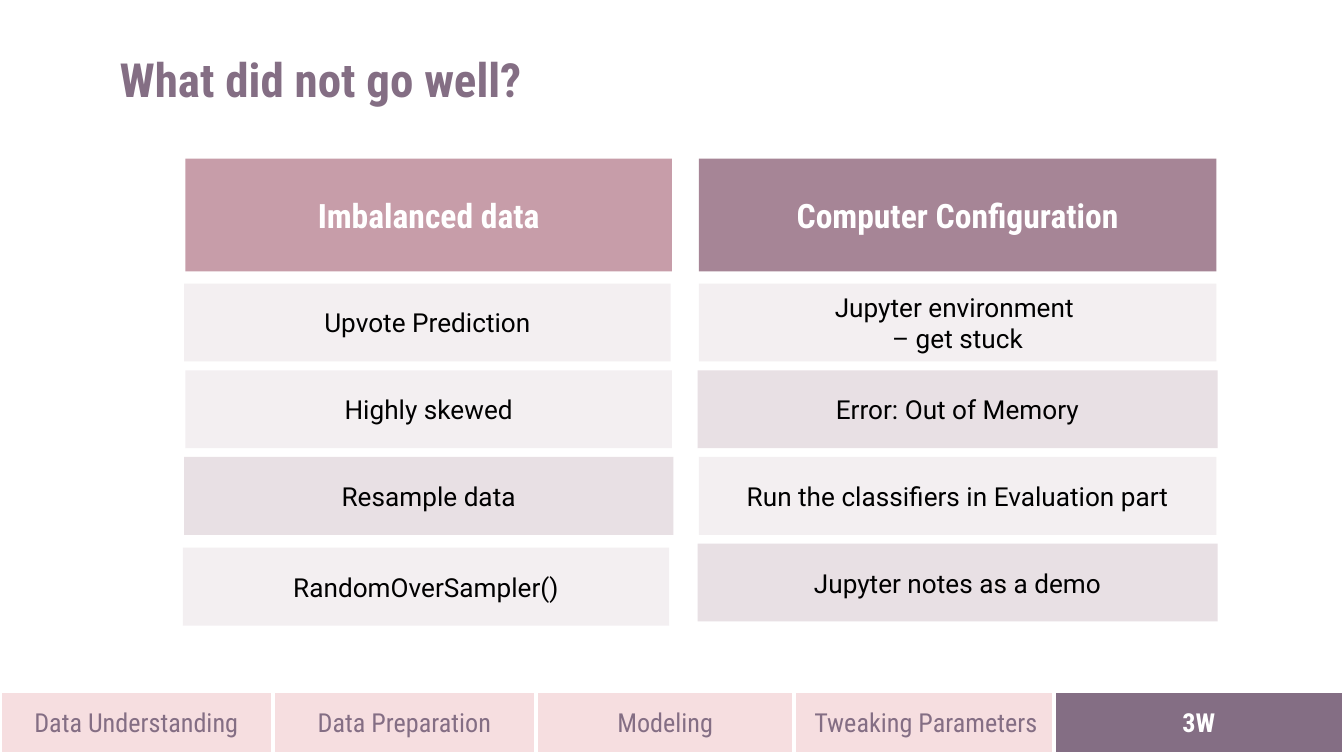
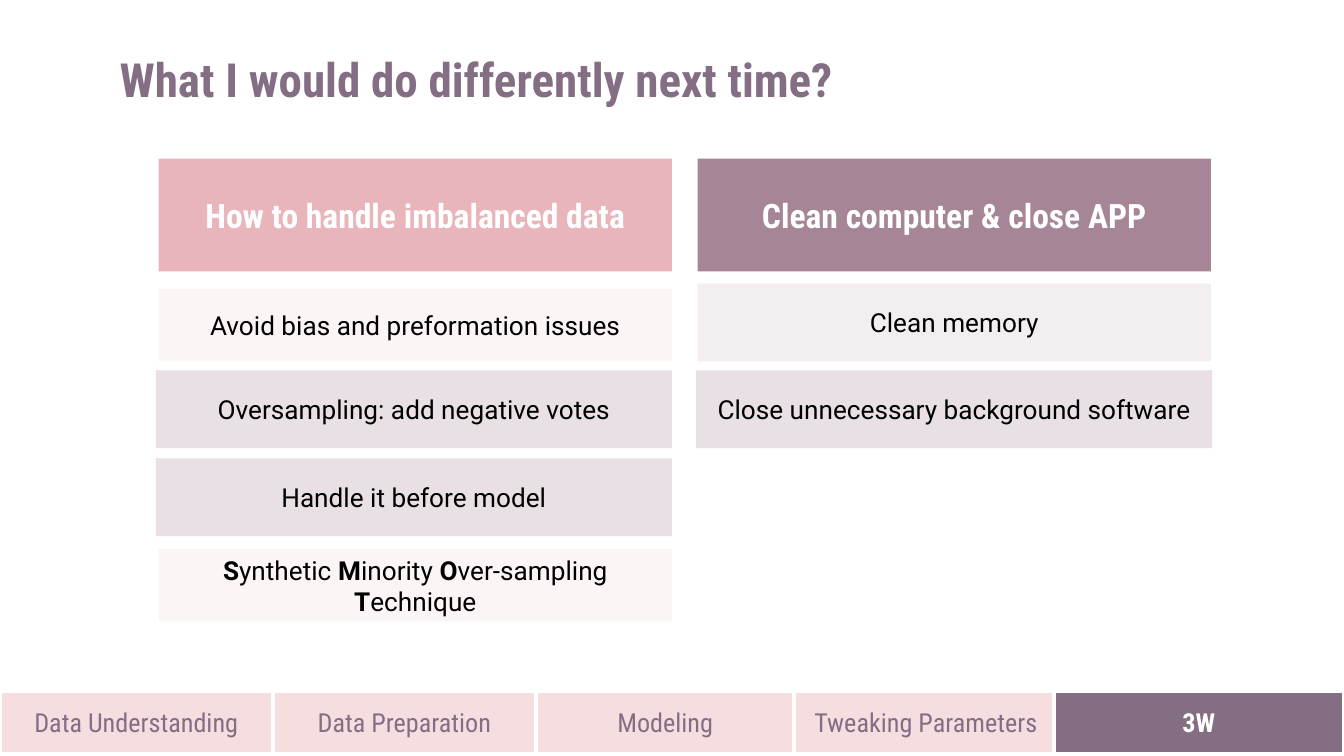
from pptx import Presentation
from pptx.dml.color import RGBColor
from pptx.enum import shapes, text
from pptx.oxml.ns import qn
from pptx.util import Inches, Pt
from lxml import etree

HUES = {
    "plum": "846E84",
    "mauve": "A68596",
    "rose": "C79DA9",
    "pink": "E8B5BB",
    "blush": "F6DEE0",
    "white": "FFFFFF",
    "black": "000000",
}
HEAD = "Roboto Condensed"
BODY = "Roboto"
KINDS = {
    "pale": ("mauve", 13, 0, 0.58),
    "deep": ("mauve", 25, 0.01, 0.58),
    "pink": ("pink", 13, 0, 0.54),
}
TABS = ["Data Understanding", "Data Preparation", "Modeling", "Tweaking Parameters", "3W"]
PITCH = 0.645


def hue(name):
    return RGBColor.from_string(HUES[name])


def write(frame, lines, font, size, color, bold=False, align=text.PP_ALIGN.CENTER):
    frame.vertical_anchor = text.MSO_ANCHOR.MIDDLE
    for row, line in enumerate(lines):
        para = frame.paragraphs[0] if row == 0 else frame.add_paragraph()
        para.alignment = align
        for pos, part in enumerate(line.split("*")):
            if part:
                run = para.add_run()
                run.text = part
                run.font.name = font
                run.font.size = Pt(size)
                run.font.bold = bold or pos % 2 == 1
                run.font.color.rgb = hue(color)


def pad(frame):
    frame.margin_left = frame.margin_right = Inches(0.1)
    frame.margin_top = frame.margin_bottom = Inches(0.1)


def block(parent, box, fill, alpha=100):
    shape = parent.add_shape(shapes.MSO_SHAPE.RECTANGLE, *map(Inches, box))
    shape.shadow.inherit = False
    shape.fill.solid()
    shape.fill.fore_color.rgb = hue(fill)
    if alpha < 100:
        color = shape._element.spPr.find(".//" + qn("a:srgbClr"))
        etree.SubElement(color, qn("a:alpha")).set("val", str(alpha * 1000))
    shape.line.fill.background()
    shape.text_frame.word_wrap = True
    return shape


def title(slide, box, words):
    shape = slide.shapes.title
    shape.left, shape.top, shape.width, shape.height = map(Inches, box)
    frame = shape.text_frame
    pad(frame)
    frame.auto_size = text.MSO_AUTO_SIZE.NONE
    frame.word_wrap = True
    write(frame, [words], HEAD, 25.2, "plum", True, text.PP_ALIGN.LEFT)


def column(slide, box, fill, label, rows):
    left, top, width = box
    head = block(slide.shapes, (left, top, width, 0.84), fill)
    pad(head.text_frame)
    write(head.text_frame, [label], HEAD, 18, "white", True)
    for num, (kind, lines, dx, dy) in enumerate(rows):
        tint, alpha, grow, high = KINDS[kind]
        base = top + 1.51 + num * PITCH + dy
        spot = (left + dx - grow, base - high, width + 2 * grow, high)
        card = block(slide.shapes, spot, tint, alpha)
        pad(card.text_frame)
        write(card.text_frame, lines, BODY, 14, "black")


def footer(slide, box, live):
    left, top, width, high = box
    first, step, over, last = 2.03, 1.94, 0.02, 2.16
    spans = [(0, first)]
    spans += [(first + num * step, step + over) for num in range(3)]
    spans.append((width - last, last))
    group = slide.shapes.add_group_shape()
    for num in (0, 2, 1, 3, 4):
        start, span = spans[num]
        on = num == live
        tab = block(group.shapes, (left + start, top, span, high), "plum" if on else "blush")
        tab.line.color.rgb = hue("white")
        tab.line.width = Pt(2)
        write(tab.text_frame, [TABS[num]], HEAD, 14, "white" if on else "plum", on)


def page(deck, words, span, cols):
    slide = deck.slides.add_slide(deck.slide_layouts[5])
    title(slide, (0.79, 0.38, span, 0.41), words)
    for left, width, fill, label, rows in cols:
        column(slide, (left, 1.18, width), fill, label, rows)
    footer(slide, (0, 5.14, 10, 0.47), 4)


def main():
    deck = Presentation()
    deck.slide_width = Inches(10)
    deck.slide_height = deck.slide_width * 9 // 16
    page(deck, "What did not go well?", 3.25, [
        (1.38, 3.62, "rose", "Imbalanced data", [
            ("pale", ["Upvote Prediction"], -0.01, 0),
            ("pale", ["Highly skewed"], 0, 0),
            ("deep", ["Resample data"], 0, 0),
            ("pale", ["RandomOverSampler()"], -0.02, 0.03),
        ]),
        (5.2, 3.85, "mauve", "Computer Configuration", [
            ("pale", ["Jupyter environment ", "– get stuck"], 0, 0),
            ("deep", ["Error: Out of Memory"], 0, 0),
            ("pale", ["Run the classifiers in Evaluation part"], 0, 0),
            ("deep", ["Jupyter notes as a demo"], 0, 0),
        ]),
    ])
    page(deck, "What I would do differently next time?", 6.58, [
        (1.18, 3.82, "pink", "How to handle imbalanced data", [
            ("pink", ["Avoid bias and preformation issues"], 0, 0),
            ("deep", ["Oversampling: add negative votes"], -0.01, 0),
            ("deep", ["Handle it before model"], -0.01, 0.01),
            ("pink", ["*S*ynthetic *M*inority *O*ver-sampling *T*echnique"], 0, 0),
        ]),
        (5.19, 3.82, "mauve", "Clean computer & close APP", [
            ("pale", ["Clean memory"], 0, 0),
            ("deep", ["Close unnecessary background software"], 0, 0),
        ]),
    ])
    deck.save("out.pptx")


if __name__ == "__main__":
    main()
